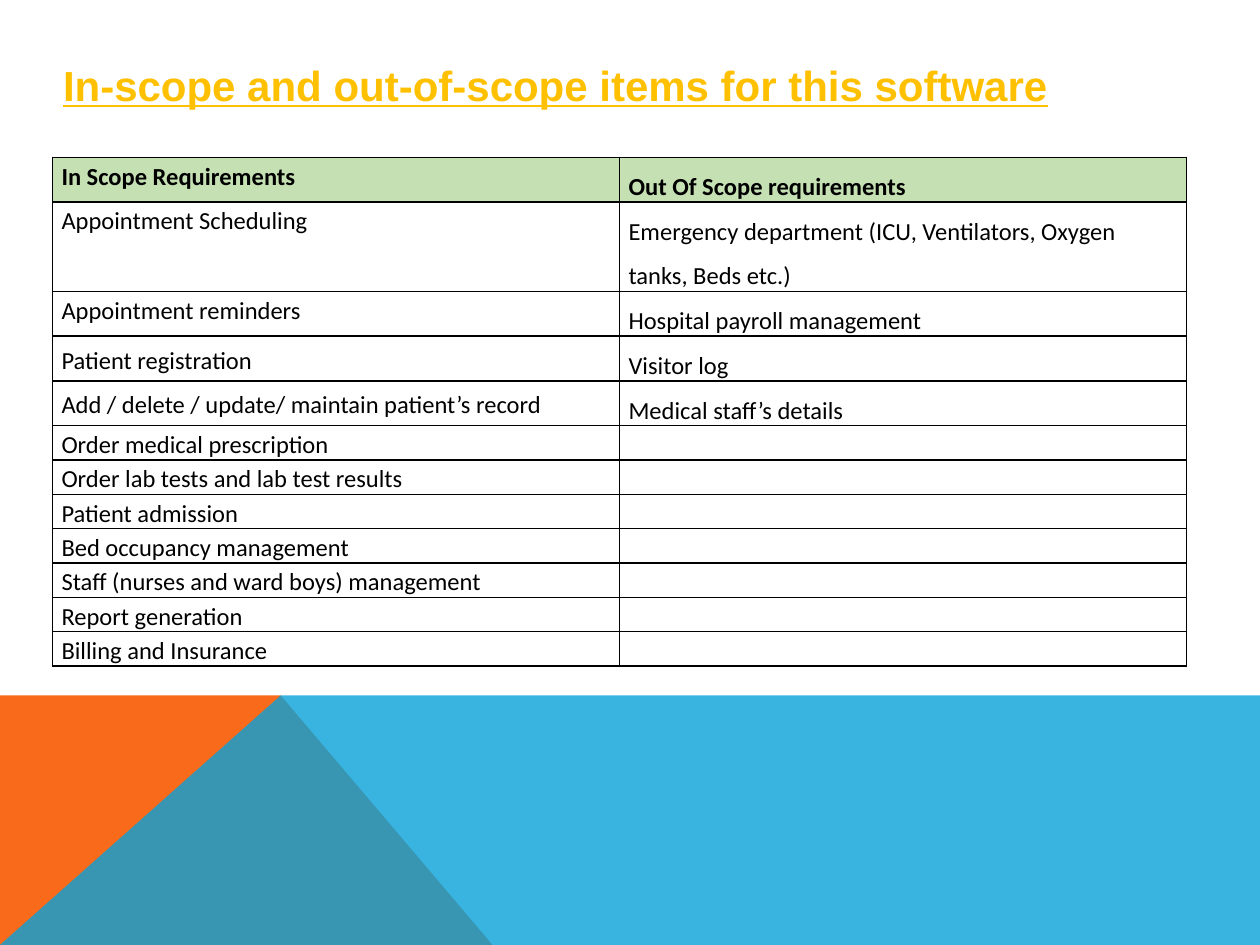
from dataclasses import dataclass
from itertools import zip_longest
from typing import Any

from lxml import etree
from pptx import Presentation
from pptx import util as u
from pptx.dml.color import RGBColor
from pptx.enum import text
from pptx.oxml import ns

IN_SCOPE = [
    "In Scope Requirements",
    "Appointment Scheduling",
    "Appointment reminders",
    "Patient registration",
    "Add / delete / update/ maintain patient’s record",
    "Order medical prescription",
    "Order lab tests and lab test results",
    "Patient admission",
    "Bed occupancy management",
    "Staff (nurses and ward boys) management",
    "Report generation",
    "Billing and Insurance",
]
OUT_OF_SCOPE = [
    "Out Of Scope requirements",
    "Emergency department (ICU, Ventilators, Oxygen tanks, Beds etc.)",
    "Hospital payroll management",
    "Visitor log",
    "Medical staff’s details",
]
ROW_HEIGHTS = [0.89, 1.78] + [0.89] * 3 + [0.68] * 7
FIRST_CENTRED_ROW = 3


def rgb(value):
    return RGBColor.from_string(value)


@dataclass
class ScopeSlide:
    s: Any
    title_font: str = "Arial"
    body_font: str = "Calibri"
    title_color: str = "FFC000"
    text_color: str = "000000"
    header_fill: str = "C5E0B3"
    body_size: int = 14

    def polygon(self, points, color, opacity=100):
        corners = [(u.Cm(x), u.Cm(y)) for x, y in points]
        fb = self.s.shapes.build_freeform(*corners[0])
        fb.add_line_segments(corners[1:], close=True)
        sp = fb.convert_to_shape()
        sp.shadow.inherit = False
        sp.fill.solid()
        sp.fill.fore_color.rgb = rgb(color)
        sp.line.fill.background()
        if opacity < 100:
            clr = sp.fill._xPr.find(".//" + ns.qn("a:srgbClr"))
            etree.SubElement(clr, ns.qn("a:alpha"), val=str(opacity * 1000))

    def title(self, wording, left, top, width, height):
        sp = self.s.shapes.title
        sp.left, sp.top, sp.width, sp.height = map(u.Cm, (left, top, width, height))
        tf = sp.text_frame
        tf.text = wording
        tf.word_wrap = False
        tf.auto_size = text.MSO_AUTO_SIZE.NONE
        tf.vertical_anchor = text.MSO_ANCHOR.MIDDLE
        tf.margin_left = tf.margin_right = tf.margin_top = tf.margin_bottom = 0
        p = tf.paragraphs[0]
        p.alignment = text.PP_ALIGN.LEFT
        font = p.runs[0].font
        font.name, font.size = self.title_font, u.Pt(24)
        font.bold = font.underline = True
        font.color.rgb = rgb(self.title_color)

    def borders(self, cell):
        tc_pr = cell._tc.get_or_add_tcPr()
        for side in ("lnL", "lnR", "lnT", "lnB"):
            ln = etree.SubElement(tc_pr, ns.qn(f"a:{side}"), w=str(u.Pt(1)))
            fill = etree.SubElement(ln, ns.qn("a:solidFill"))
            etree.SubElement(fill, ns.qn("a:srgbClr"), val=self.text_color)

    def cell(self, cell, wording, spacing, header, centred):
        self.borders(cell)
        if header:
            cell.fill.solid()
            cell.fill.fore_color.rgb = rgb(self.header_fill)
        else:
            cell.fill.background()
        cell.margin_left = cell.margin_right = u.Cm(0.18)
        cell.margin_top = cell.margin_bottom = 0
        cell.vertical_anchor = text.MSO_ANCHOR.MIDDLE if centred else text.MSO_ANCHOR.TOP
        p = cell.text_frame.paragraphs[0]
        if not wording:
            p._p.get_or_add_endParaRPr().set("sz", str(self.body_size * 100))
            return
        p.text = wording
        p.line_spacing = spacing
        font = p.runs[0].font
        font.name, font.size, font.bold = self.body_font, u.Pt(self.body_size), header
        font.color.rgb = rgb(self.text_color)

    def table(self, rows, heights, left, top, width):
        box = map(u.Cm, (left, top, width, sum(heights)))
        tbl = self.s.shapes.add_table(len(rows), 2, *box).table
        tbl.first_row = tbl.horz_banding = False
        for i, (row, height) in enumerate(zip(rows, heights)):
            tbl.rows[i].height = u.Cm(height)
            for j, (wording, spacing) in enumerate(zip(row, (1.15, 1.5))):
                self.cell(tbl.cell(i, j), wording, spacing, i == 0, i >= FIRST_CENTRED_ROW)


def main():
    prs = Presentation()
    prs.slide_width, prs.slide_height = u.Cm(25.4), u.Cm(19.05)
    slide = ScopeSlide(prs.slides.add_slide(prs.slide_layouts[5]))
    slide.polygon([(0, 19.05), (0, 14.02), (5.66, 14.02), (9.93, 19.05)], "F96A1B")
    slide.polygon([(0, 19.05), (5.66, 14.02), (25.4, 14.02), (25.4, 19.05)], "08A1D9", 80)
    slide.title("In-scope and out-of-scope items for this software", 1.27, 0.8, 20.04, 1.8)
    rows = list(zip_longest(IN_SCOPE, OUT_OF_SCOPE, fillvalue=""))
    slide.table(rows, ROW_HEIGHTS, 1.06, 3.17, 22.86)
    prs.save("out.pptx")


if __name__ == "__main__":
    main()
